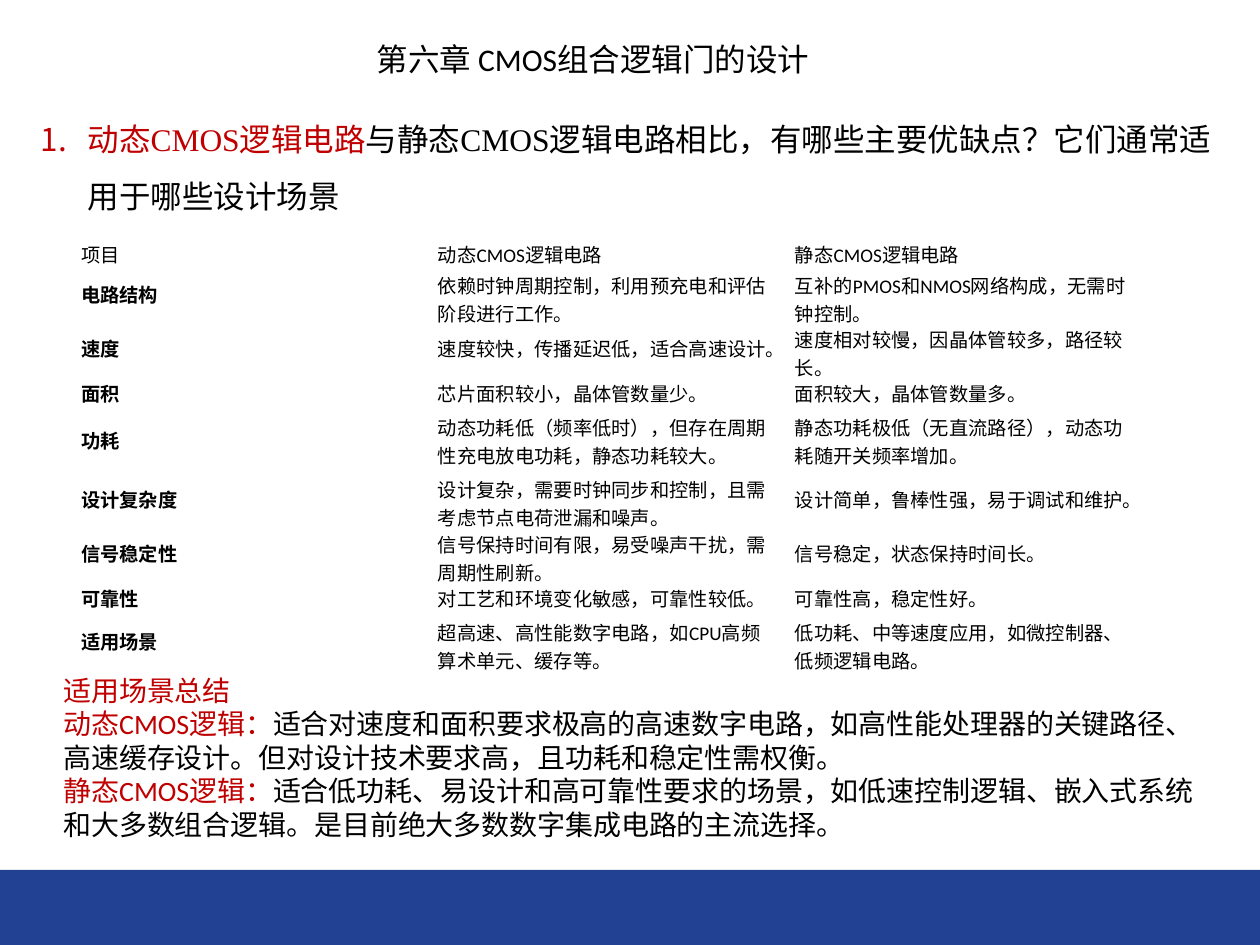
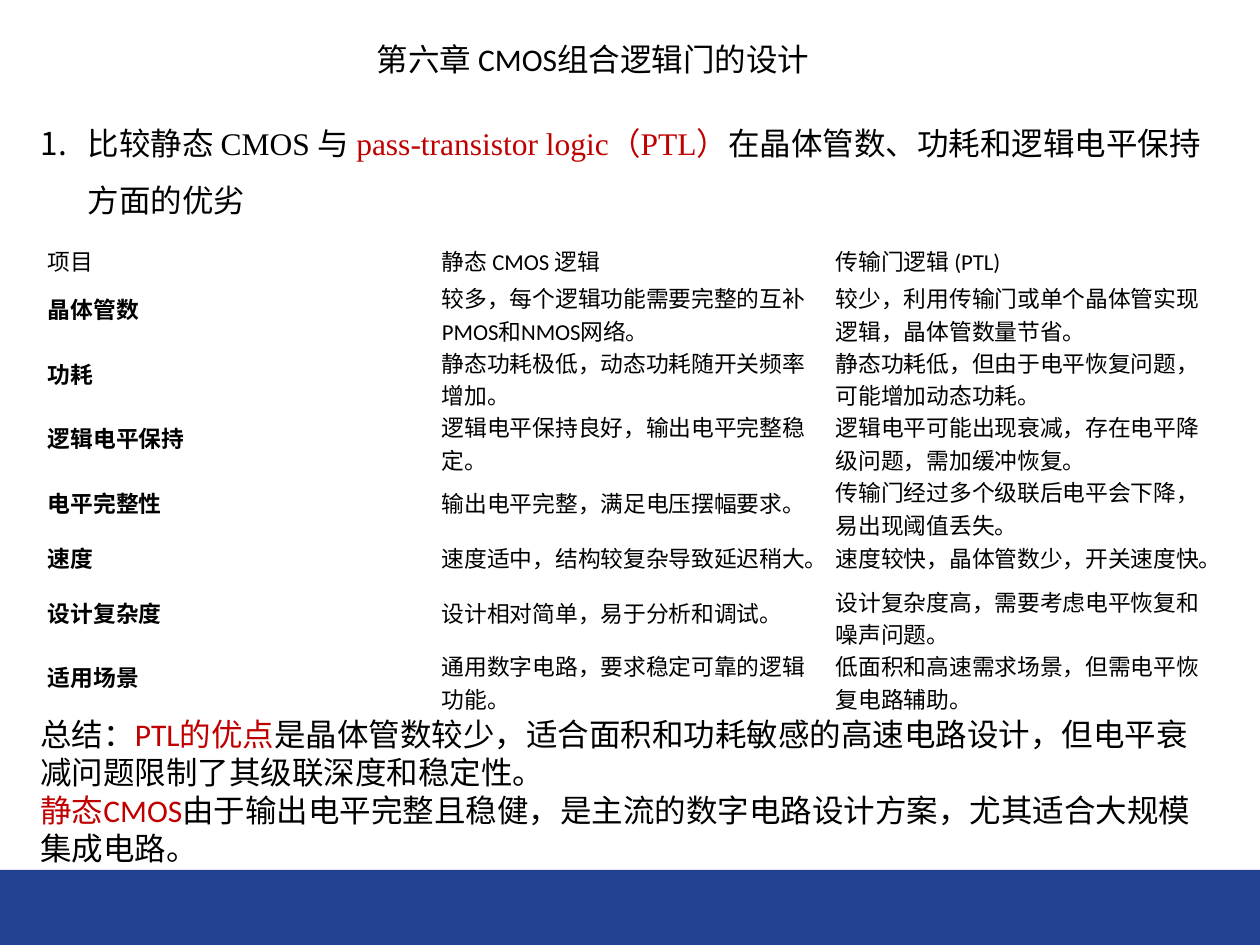
from lxml import etree
from pptx import Presentation
from pptx import util as u
from pptx.dml.color import RGBColor
from pptx.enum import lang, shapes, text
from pptx.oxml.ns import qn

EMU_PER_PX = 914400 / 126
COLOURS = {"black": "000000", "red": "C00000", "band": "224193"}
NO_TABLE_STYLE = "{2D5ABB26-0587-4C30-8999-92F81FD0307C}"
CHAPTER = "第六章 CMOS组合逻辑门的设计"
TITLE_BOX = (309, 34, 568, 50)
BAND_BOX = (0, 870, 1260, 75)

# A text is a list of paragraphs; a paragraph is a list of (words, colour).
# Row heights are minimums: a row grows to hold its text.
SLIDES = [
    {
        "question_box": (28, 95, 1205, 120),
        "question": [[
            ("动态CMOS逻辑电路", "red"),
            ("与静态CMOS逻辑电路相比，有哪些主要优缺点？它们通常适用于哪些设计场景", "black"),
        ]],
        "table": {
            "corner": (73, 236), "column": 357, "size": 11, "inset": (8, 4),
            "heights": [19, 48, 34, 34, 62, 48, 48, 34, 48],
            "rows": [
                ("项目", "动态CMOS逻辑电路", "静态CMOS逻辑电路"),
                ("电路结构", "依赖时钟周期控制，利用预充电和评估阶段进行工作。",
                 "互补的PMOS和NMOS网络构成，无需时钟控制。"),
                ("速度", "速度较快，传播延迟低，适合高速设计。",
                 "速度相对较慢，因晶体管较多，路径较长。"),
                ("面积", "芯片面积较小，晶体管数量少。", "面积较大，晶体管数量多。"),
                ("功耗", "动态功耗低（频率低时），但存在周期性充电放电功耗，静态功耗较大。",
                 "静态功耗极低（无直流路径），动态功耗随开关频率增加。"),
                ("设计复杂度", "设计复杂，需要时钟同步和控制，且需考虑节点电荷泄漏和噪声。",
                 "设计简单，鲁棒性强，易于调试和维护。"),
                ("信号稳定性", "信号保持时间有限，易受噪声干扰，需周期性刷新。",
                 "信号稳定，状态保持时间长。"),
                ("可靠性", "对工艺和环境变化敏感，可靠性较低。", "可靠性高，稳定性好。"),
                ("适用场景", "超高速、高性能数字电路，如CPU高频算术单元、缓存等。",
                 "低功耗、中等速度应用，如微控制器、低频逻辑电路。"),
            ],
        },
        "summary_box": (51, 667, 1158, 183),
        "summary_size": 16,
        "summary": [
            [("适用场景总结", "red")],
            [("动态CMOS逻辑：", "red"),
             ("适合对速度和面积要求极高的高速数字电路，如高性能处理器的关键路径、"
              "高速缓存设计。但对设计技术要求高，且功耗和稳定性需权衡。", "black")],
            [("静态CMOS逻辑：", "red"),
             ("适合低功耗、易设计和高可靠性要求的场景，如低速控制逻辑、嵌入式系统和"
              "大多数组合逻辑。是目前绝大多数数字集成电路的主流选择。", "black")],
        ],
    },
    {
        "question_box": (28, 99, 1205, 120),
        "question": [[
            ("比较静态 CMOS 与 ", "black"),
            ("pass-transistor logic（PTL）", "red"),
            ("在晶体管数、功耗和逻辑电平保持方面的优劣", "black"),
        ]],
        "table": {
            "corner": (39, 239), "column": 394, "size": 13, "inset": (9, 5),
            "heights": [25, 63, 63, 63, 63, 45, 45, 45],
            "rows": [
                ("项目", "静态 CMOS 逻辑", "传输门逻辑 (PTL)"),
                ("晶体管数", "较多，每个逻辑功能需要完整的互补PMOS和NMOS网络。",
                 "较少，利用传输门或单个晶体管实现逻辑，晶体管数量节省。"),
                ("功耗", "静态功耗极低，动态功耗随开关频率增加。",
                 "静态功耗低，但由于电平恢复问题，可能增加动态功耗。"),
                ("逻辑电平保持", "逻辑电平保持良好，输出电平完整稳定。",
                 "逻辑电平可能出现衰减，存在电平降级问题，需加缓冲恢复。"),
                ("电平完整性", "输出电平完整，满足电压摆幅要求。",
                 "传输门经过多个级联后电平会下降，易出现阈值丢失。"),
                ("速度", "速度适中，结构较复杂导致延迟稍大。",
                 "速度较快，晶体管数少，开关速度快。"),
                ("设计复杂度", "设计相对简单，易于分析和调试。",
                 "设计复杂度高，需要考虑电平恢复和噪声问题。"),
                ("适用场景", "通用数字电路，要求稳定可靠的逻辑功能。",
                 "低面积和高速需求场景，但需电平恢复电路辅助。"),
            ],
        },
        "summary_box": (28, 709, 1193, 165),
        "summary_size": 18,
        "summary": [
            [("总结：", "black"), ("PTL的优点", "red"),
             ("是晶体管数较少，适合面积和功耗敏感的高速电路设计，"
              "但电平衰减问题限制了其级联深度和稳定性。", "black")],
            [("静态CMOS", "red"),
             ("由于输出电平完整且稳健，是主流的数字电路设计方案，"
              "尤其适合大规模集成电路。", "black")],
        ],
    },
]


def px(length):
    return u.Emu(round(length * EMU_PER_PX))


def place(shape, box):
    for name, length in zip(("left", "top", "width", "height"), box):
        setattr(shape, name, px(length))


def apply(target, values):
    for name, value in values.items():
        setattr(target, name, value)


def write(frame, paragraphs, size, font="Calibri", bold=False, **paragraph_format):
    """Fill a text frame with paragraphs of coloured runs."""
    for number, spans in enumerate(paragraphs):
        para = frame.paragraphs[0] if number == 0 else frame.add_paragraph()
        apply(para, paragraph_format)
        for words, colour in spans:
            span = para.add_run()
            span.text = words
            apply(span.font, {
                "size": u.Pt(size), "name": font, "bold": bold,
                "language_id": lang.MSO_LANGUAGE_ID.SIMPLIFIED_CHINESE,
            })
            span.font.color.rgb = RGBColor.from_string(COLOURS[colour])


def number_paragraph(para, indent):
    properties = para._p.get_or_add_pPr()
    properties.set("marL", str(px(indent)))
    properties.set("indent", str(-px(indent)))
    etree.SubElement(properties, qn("a:buFont"), typeface="+mj-lt")
    etree.SubElement(properties, qn("a:buAutoNum"), type="arabicPeriod")


def add_band_to_master(deck, page):
    band = page.shapes.add_shape(shapes.MSO_SHAPE.RECTANGLE, *map(px, BAND_BOX))
    band.shadow.inherit = False
    band.fill.solid()
    band.fill.fore_color.rgb = RGBColor.from_string(COLOURS["band"])
    band.line.fill.background()
    deck.slide_master.shapes.element.insert(2, band.element)


def add_comparison(page, corner, column, size, inset, heights, rows):
    columns = len(rows[0])
    holder = page.shapes.add_table(
        len(rows), columns,
        *map(px, (*corner, column * columns, sum(heights))))
    table = holder.table
    apply(table, {"first_row": False, "horz_banding": False})
    for style in holder.element.iter(qn("a:tableStyleId")):
        style.text = NO_TABLE_STYLE
    for line, height in zip(table.rows, heights):
        line.height = px(height)
    side, edge = map(px, inset)
    for row, entries in enumerate(rows):
        for col, words in enumerate(entries):
            cell = table.cell(row, col)
            cell.fill.background()
            apply(cell, {
                "vertical_anchor": text.MSO_ANCHOR.MIDDLE,
                "margin_left": side, "margin_right": side,
                "margin_top": edge, "margin_bottom": edge,
            })
            write(cell.text_frame, [[(words, "black")]], size,
                  bold=row > 0 and col == 0)


def add_page(deck, content):
    page = deck.slides.add_slide(deck.slide_layouts[1])
    title, question = page.shapes.title, page.placeholders[1]
    place(title, TITLE_BOX)
    place(question, content["question_box"])
    add_comparison(page, **content["table"])
    summary = page.shapes.add_textbox(*map(px, content["summary_box"]))

    for box in (title, question, summary):
        apply(box.text_frame, {
            "word_wrap": True,
            "auto_size": text.MSO_AUTO_SIZE.SHAPE_TO_FIT_TEXT,
            "vertical_anchor": text.MSO_ANCHOR.TOP,
        })
    write(title.text_frame, [[(CHAPTER, "black")]], 18,
          alignment=text.PP_ALIGN.CENTER)
    number_paragraph(question.text_frame.paragraphs[0], 47)
    write(question.text_frame, content["question"], 18, "Times New Roman",
          line_spacing=1.5, space_before=u.Pt(0))
    write(summary.text_frame, content["summary"], content["summary_size"])
    return page


def main():
    deck = Presentation()
    deck.slide_width, deck.slide_height = px(1260), px(945)
    pages = [add_page(deck, content) for content in SLIDES]
    add_band_to_master(deck, pages[0])
    deck.save("out.pptx")


if __name__ == "__main__":
    main()
